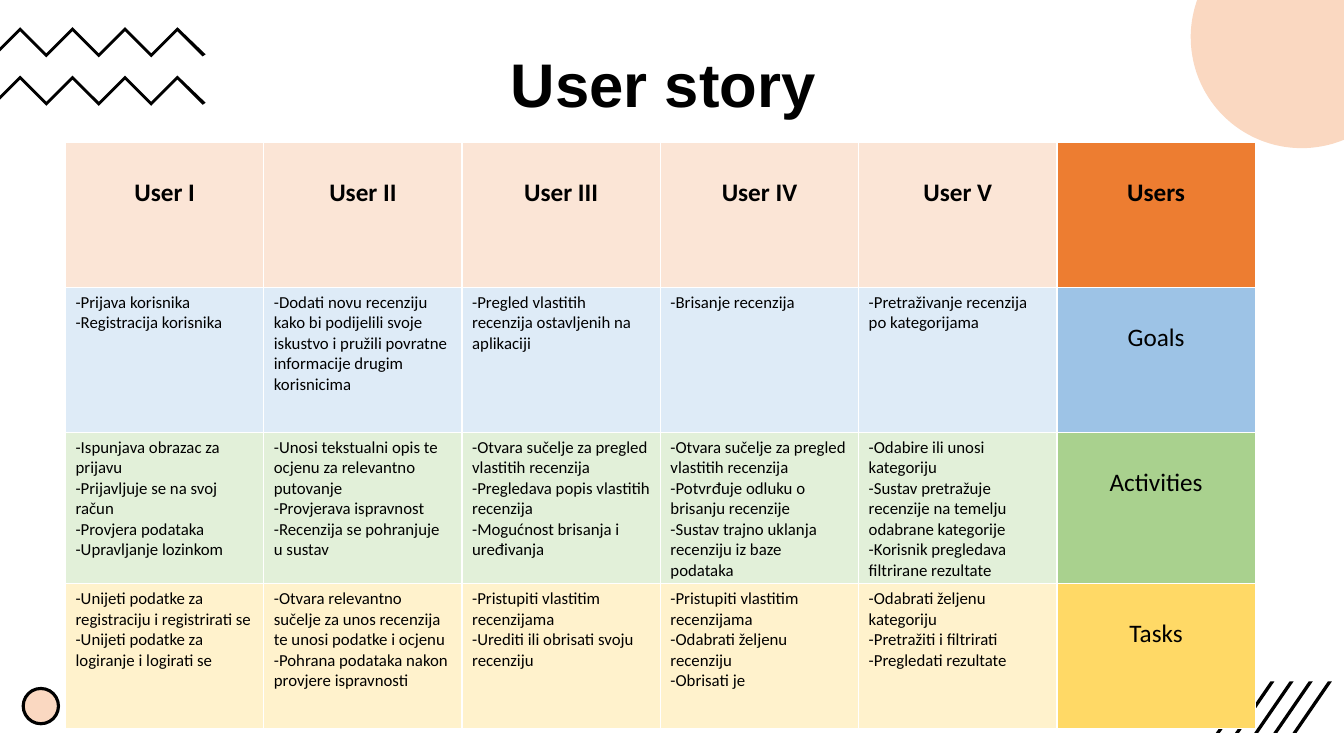
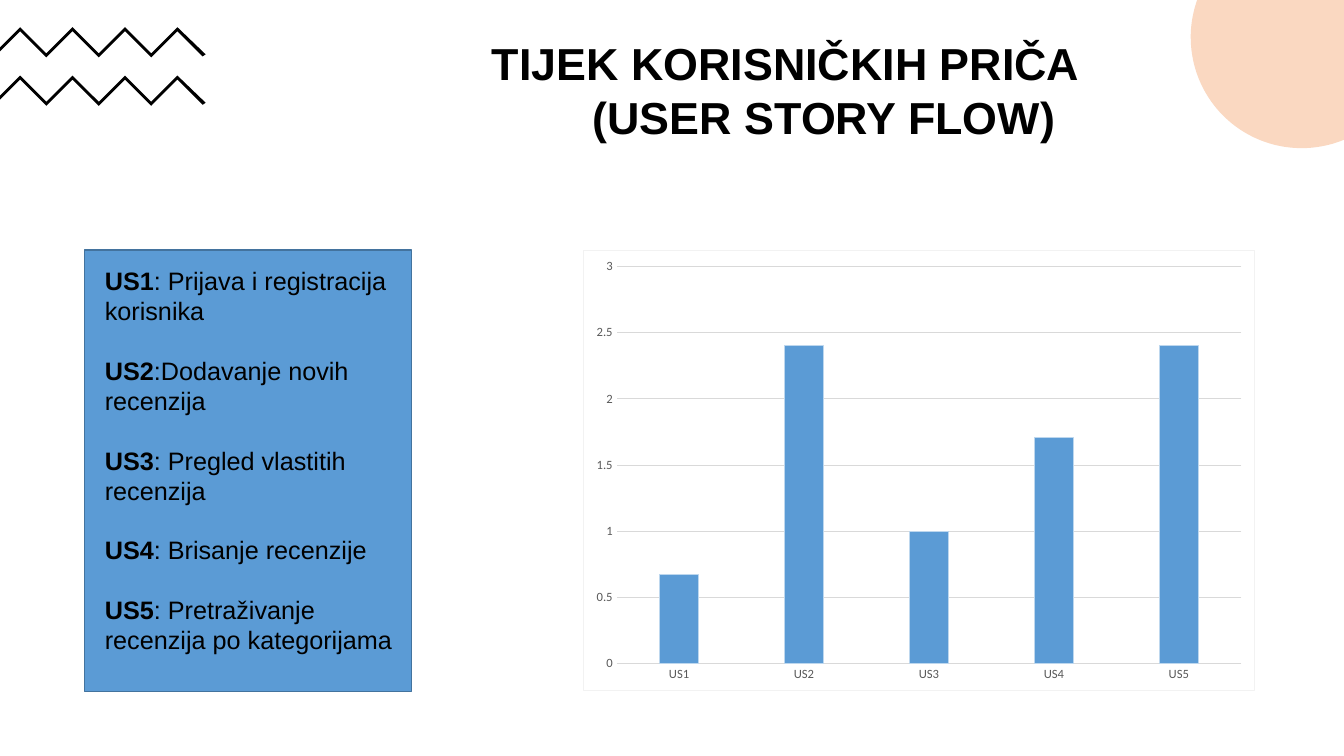
import math

from lxml import etree
from pptx import Presentation
from pptx import util as u
from pptx.chart.data import CategoryChartData
from pptx.dml.color import RGBColor
from pptx.enum import chart as ch, shapes, text
from pptx.oxml import parse_xml

INK, PEACH, BLUE, GRID = "000000", "FAD8C1", "5B9BD5", "D9D9D9"
WIDTH, HEIGHT = 13.33, 7.5
LEFT, CENTER = text.PP_ALIGN.LEFT, text.PP_ALIGN.CENTER
TOP, MIDDLE = text.MSO_ANCHOR.TOP, text.MSO_ANCHOR.MIDDLE

STORY = [
    ("Users", "FBE5D6", "ED7D31",
     [["User I"], ["User II"], ["User III"], ["User IV"], ["User V"]]),
    ("Goals", "DEEBF7", "9DC3E6", [
        ["-Prijava korisnika", "-Registracija korisnika"],
        ["-Dodati novu recenziju kako bi podijelili svoje iskustvo i pružili "
         "povratne informacije drugim korisnicima"],
        ["-Pregled vlastitih recenzija ostavljenih na aplikaciji"],
        ["-Brisanje recenzija"],
        ["-Pretraživanje recenzija po kategorijama"]]),
    ("Activities", "E2F0D9", "A9D18E", [
        ["-Ispunjava obrazac za prijavu", "-Prijavljuje se na svoj račun",
         "-Provjera podataka", "-Upravljanje lozinkom"],
        ["-Unosi tekstualni opis te ocjenu za relevantno putovanje",
         "-Provjerava ispravnost", "-Recenzija se pohranjuje u sustav"],
        ["-Otvara sučelje za pregled vlastitih recenzija",
         "-Pregledava popis vlastitih recenzija",
         "-Mogućnost brisanja i uređivanja"],
        ["-Otvara sučelje za pregled vlastitih recenzija",
         "-Potvrđuje odluku o brisanju recenzije",
         "-Sustav trajno uklanja recenziju iz baze podataka"],
        ["-Odabire ili unosi kategoriju",
         "-Sustav pretražuje recenzije na temelju odabrane kategorije",
         "-Korisnik pregledava filtrirane rezultate"]]),
    ("Tasks", "FFF2CC", "FFD966", [
        ["-Unijeti podatke za registraciju i registrirati se",
         "-Unijeti podatke za logiranje i logirati se"],
        ["-Otvara relevantno sučelje za unos recenzija te unosi podatke i ocjenu",
         "-Pohrana podataka nakon provjere ispravnosti"],
        ["-Pristupiti vlastitim recenzijama",
         "-Urediti ili obrisati svoju recenziju"],
        ["-Pristupiti vlastitim recenzijama", "-Odabrati željenu recenziju",
         "-Obrisati je"],
        ["-Odabrati željenu kategoriju", "-Pretražiti i filtrirati",
         "-Pregledati rezultate"]]),
]
STORY_NAMES = [
    ("US1", ": Prijava i registracija korisnika"),
    ("US2", ":Dodavanje novih recenzija"),
    ("US3", ": Pregled vlastitih recenzija"),
    ("US4", ": Brisanje recenzije"),
    ("US5", ": Pretraživanje recenzija po kategorijama"),
]
FLOW = [0.67, 2.4, 1, 1.71, 2.4]


def rgb(color):
    return RGBColor.from_string(color)


def inches(*lengths):
    return [u.Inches(n) for n in lengths]


def write(tf, paragraphs, size=18, font="Arial", bold=False, align=LEFT,
          gap=0, spacing=None):
    for i, runs in enumerate(paragraphs):
        p = tf.add_paragraph() if i else tf.paragraphs[0]
        p.alignment = align
        if i and gap:
            p.space_before = u.Pt(gap)
        if spacing:
            p.line_spacing = spacing
        if isinstance(runs, str):
            runs = [runs]
        for j, part in enumerate(runs):
            r = p.add_run()
            r.text = part
            r.font.size = u.Pt(size)
            r.font.name = font
            r.font.bold = bold or (len(runs) > 1 and j == 0)
            r.font.color.rgb = rgb(INK)


def paint(sp, fill, line=None, width=1):
    sp.shadow.inherit = False
    sp.fill.solid()
    sp.fill.fore_color.rgb = rgb(fill)
    if line:
        sp.line.color.rgb = rgb(line)
        sp.line.width = u.Pt(width)
    else:
        sp.line.fill.background()
    return sp


def add_outline(s, points, fill):
    start, *rest = [tuple(inches(x, y)) for x, y in points]
    builder = s.shapes.build_freeform(*start)
    builder.add_line_segments(rest)
    return paint(builder.convert_to_shape(), fill)


def add_shape(s, kind, box, fill, line, width):
    return paint(s.shapes.add_shape(kind, *inches(*box)), fill, line, width)


def add_textbox(s, box, paragraphs, anchor=TOP, **style):
    tf = s.shapes.add_textbox(*inches(*box)).text_frame
    tf.word_wrap = True
    tf.vertical_anchor = anchor
    write(tf, paragraphs, **style)
    return tf


def add_zigzag(s, top):
    peaks = [(0.2 + 0.26 * i, top + 0.26 * (i % 2)) for i in range(7)]
    lower = [(x, y + 0.04) for x, y in reversed(peaks)]
    add_outline(s, peaks + [(2.04, top + 0.27), (2.01, top + 0.29)] + lower
                + [(0, top + 0.24), (0, top + 0.2)], INK)


def add_corner_disc(s, cx, cy, radius):
    start = math.acos((WIDTH - cx) / radius)
    end = math.pi + math.asin(cy / radius)
    steps = 80
    angles = [start + (end - start) * i / steps for i in range(steps + 1)]
    arc = [(cx + radius * math.cos(a), cy + radius * math.sin(a)) for a in angles]
    add_outline(s, arc + [(WIDTH, 0)], PEACH)


def add_stripes(s, left, top, count=5):
    for i in range(count):
        x = left + 0.19 * i
        add_outline(s, [(x, top + 0.51), (x + 0.35, top), (x + 0.39, top),
                        (x + 0.04, top + 0.51)], INK)


def add_base(prs):
    s = prs.slides.add_slide(prs.slide_layouts[6])
    for top in (0.27, 0.75):
        add_zigzag(s, top)
    add_corner_disc(s, 12.91, 0.37, 1.1)
    return s


def add_story_table(s, box):
    rows, cols = len(STORY), len(STORY[0][3]) + 1
    table = s.shapes.add_table(rows, cols, *inches(*box)).table
    table.horz_banding = False
    for i, (label, light, strong, entries) in enumerate(STORY):
        for j, lines in enumerate(entries + [[label]]):
            cell = table.cell(i, j)
            is_label = j == cols - 1
            cell.fill.solid()
            cell.fill.fore_color.rgb = rgb(strong if is_label else light)
            large = i == 0 or is_label
            if large:
                cell.margin_top = u.Inches(0.35)
            write(cell.text_frame, lines, size=18 if large else 12,
                  font="Calibri", bold=i == 0, align=CENTER if large else LEFT)


def style_axis(axis):
    axis.major_tick_mark = axis.minor_tick_mark = ch.XL_TICK_MARK.NONE
    f = axis.tick_labels.font
    f.size, f.name = u.Pt(9), "Calibri"
    f.color.rgb = rgb("595959")


def style_line(line, color):
    line.color.rgb = rgb(color)
    line.width = u.Pt(0.75)


def frame_chart(chart, fill, border):
    ns = "http://schemas.openxmlformats.org/drawingml/2006/"
    chart_space = chart.element if hasattr(chart, "element") else chart._chartSpace
    plot_root = chart_space.find(etree.QName(ns + "chart", "chart").text)
    plot_root.addnext(parse_xml(
        f'<c:spPr xmlns:c="{ns}chart" xmlns:a="{ns}main">'
        f'<a:solidFill><a:srgbClr val="{fill}"/></a:solidFill>'
        f'<a:ln w="{u.Pt(0.75)}"><a:solidFill><a:srgbClr val="{border}"/>'
        '</a:solidFill></a:ln></c:spPr>'))


def add_flow_chart(s, box):
    data = CategoryChartData()
    data.categories = [name for name, _ in STORY_NAMES]
    data.add_series("Series 1", FLOW)
    chart = s.shapes.add_chart(ch.XL_CHART_TYPE.COLUMN_CLUSTERED,
                               *inches(*box), data).chart
    chart.has_legend = chart.has_title = False
    chart.font.size, chart.font.name = u.Pt(10), "Calibri"
    chart.font.color.rgb = rgb(INK)
    plot = chart.plots[0]
    plot.vary_by_categories = False
    plot.gap_width, plot.overlap = 219, -27
    bars = plot.series[0].format
    bars.fill.solid()
    bars.fill.fore_color.rgb = rgb(BLUE)
    style_line(bars.line, "BDD7EE")
    cat, val = chart.category_axis, chart.value_axis
    style_axis(cat)
    style_axis(val)
    style_line(cat.format.line, GRID)
    style_line(val.major_gridlines.format.line, GRID)
    val.format.line.fill.background()
    val.minimum_scale, val.maximum_scale, val.major_unit = 0, 3, 0.5
    frame_chart(chart, "FFFFFF", "F2F2F2")


def add_story_list(s, box):
    sp = add_shape(s, shapes.MSO_SHAPE.RECTANGLE, box, BLUE, "43739E", 1)
    tf = sp.text_frame
    tf.word_wrap = True
    tf.vertical_anchor = TOP
    tf.margin_left, tf.margin_top, tf.margin_right = inches(0.2, 0.15, 0)
    write(tf, STORY_NAMES, gap=21)


def build_story_slide(prs):
    s = add_base(prs)
    add_shape(s, shapes.MSO_SHAPE.OVAL, (0.23, 6.83, 0.35, 0.35), PEACH, INK, 2.25)
    add_stripes(s, 12.06, 6.76)
    add_textbox(s, (0.83, 0.14, 11.5, 1.45), ["User story"], anchor=MIDDLE,
                size=44, bold=True, align=CENTER, spacing=0.9)
    add_story_table(s, (0.65, 1.41, 11.8, 5.76))


def build_flow_slide(prs):
    s = add_base(prs)
    add_story_list(s, (0.84, 2.48, 3.24, 4.38))
    add_flow_chart(s, (5.78, 2.48, 6.67, 4.38))
    tf = add_textbox(s, (4.78, 0.31, 6.31, 1.18),
                     ["TIJEK KORISNIČKIH PRIČA", "(USER STORY FLOW)"],
                     size=32, bold=True)
    tf.paragraphs[1]._p.get_or_add_pPr().set("marL", str(u.Inches(1)))


def main():
    prs = Presentation()
    prs.slide_width, prs.slide_height = inches(WIDTH, HEIGHT)
    build_story_slide(prs)
    build_flow_slide(prs)
    prs.save("out.pptx")


if __name__ == "__main__":
    main()
